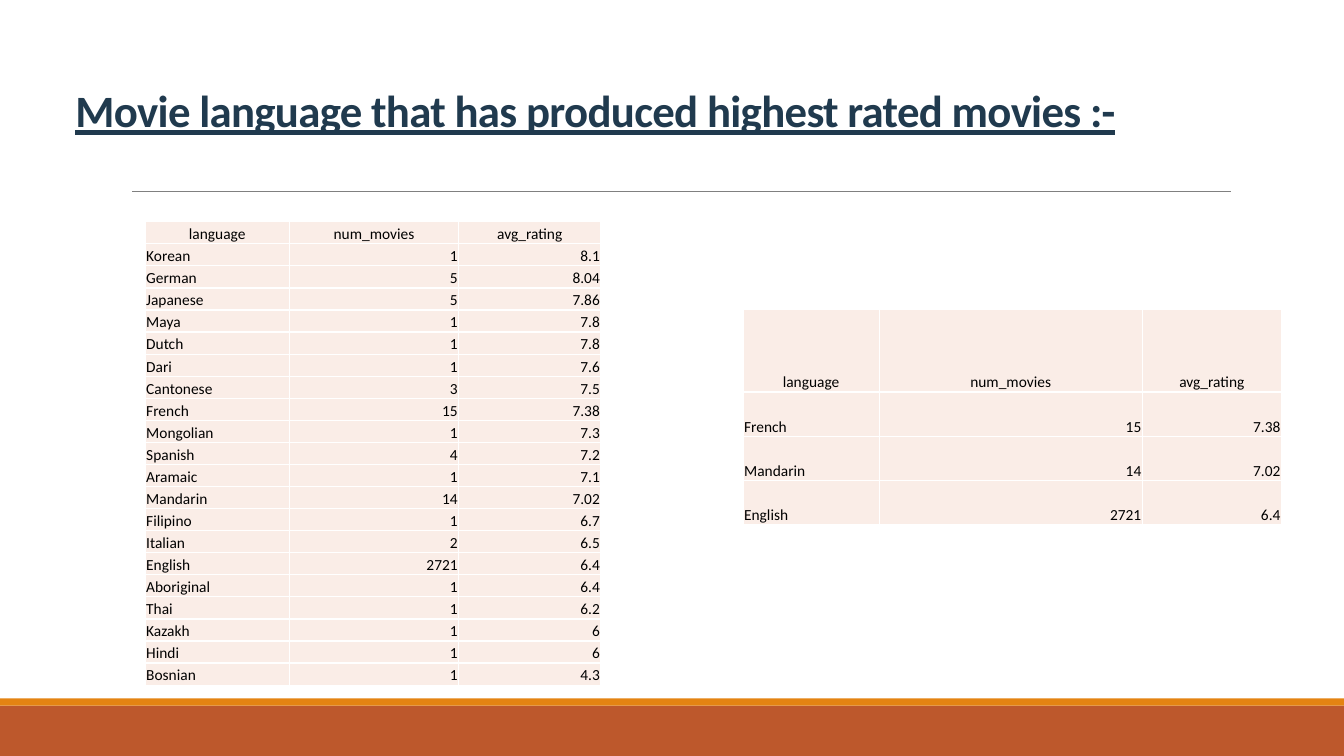
from dataclasses import dataclass

from lxml.etree import SubElement
from pptx import Presentation
from pptx.dml.color import RGBColor
from pptx.enum.shapes import MSO_CONNECTOR, MSO_SHAPE
from pptx.enum.text import MSO_ANCHOR as Anchor, PP_ALIGN as Align
from pptx.oxml.ns import qn
from pptx.slide import Slide
from pptx.table import _Cell as Cell
from pptx.util import Inches, Pt

WHITE = RGBColor(0xFF, 0xFF, 0xFF)
BLACK = RGBColor(0x00, 0x00, 0x00)
NAVY = RGBColor(0x20, 0x3A, 0x4E)
GRAY = RGBColor(0x80, 0x80, 0x80)
RUST = RGBColor(0xBD, 0x58, 0x2C)
ORANGE = RGBColor(0xE4, 0x83, 0x12)
BLUSH = RGBColor(0xFA, 0xED, 0xE7)

FONT = "Calibri"
TITLE_FORMAT = {"name": FONT, "size": Pt(32), "bold": True, "underline": True}
CELL_FORMAT = {"name": FONT, "size": Pt(11)}
CELL_LAYOUT = {
    "vertical_anchor": Anchor.BOTTOM,
    "margin_left": Inches(0.01),
    "margin_right": Inches(0.01),
    "margin_top": Inches(0.01),
    "margin_bottom": 0,
}
TITLE_LAYOUT = {"word_wrap": True, "vertical_anchor": Anchor.BOTTOM}
COLUMN_ALIGNS = (Align.LEFT, Align.RIGHT, Align.RIGHT)

HEADER = ("language", "num_movies", "avg_rating")
RATINGS = [
    ("Korean", 1, 8.1),
    ("German", 5, 8.04),
    ("Japanese", 5, 7.86),
    ("Maya", 1, 7.8),
    ("Dutch", 1, 7.8),
    ("Dari", 1, 7.6),
    ("Cantonese", 3, 7.5),
    ("French", 15, 7.38),
    ("Mongolian", 1, 7.3),
    ("Spanish", 4, 7.2),
    ("Aramaic", 1, 7.1),
    ("Mandarin", 14, 7.02),
    ("Filipino", 1, 6.7),
    ("Italian", 2, 6.5),
    ("English", 2721, 6.4),
    ("Aboriginal", 1, 6.4),
    ("Thai", 1, 6.2),
    ("Kazakh", 1, 6),
    ("Hindi", 1, 6),
    ("Bosnian", 1, 4.3),
]
MIN_MOVIES = 10


@dataclass(frozen=True)
class Band:
    top: float
    height: float
    color: RGBColor


@dataclass(frozen=True)
class RatingTable:
    left: float
    top: float
    widths: tuple[float, ...]
    header_height: float
    row_height: float
    rows: list[tuple[str, int, float]]


FOOTER_BANDS = [Band(7, 0.5, RUST), Band(6.93, 0.07, ORANGE)]
RATING_TABLES = [
    RatingTable(1.44, 2.2, (1.43, 1.68, 1.41), 4.6 / 21, 4.6 / 21, RATINGS),
    RatingTable(7.37, 3.07, (1.35, 2.61, 1.38), 0.82, 0.44,
                [row for row in RATINGS if row[1] >= MIN_MOVIES]),
]


def apply(target: object, values: dict[str, object]) -> None:
    for name, value in values.items():
        setattr(target, name, value)


def draw_band(slide: Slide, band: Band) -> None:
    stripe = slide.shapes.add_shape(
        MSO_SHAPE.RECTANGLE, 0, Inches(band.top), Inches(13.33), Inches(band.height))
    stripe.shadow.inherit = False
    stripe.fill.solid()
    stripe.fill.fore_color.rgb = band.color
    stripe.line.fill.background()


def draw_divider(slide: Slide) -> None:
    divider = slide.shapes.add_connector(
        MSO_CONNECTOR.STRAIGHT, Inches(1.31), Inches(1.9), Inches(12.21), Inches(1.9))
    divider.line.color.rgb = GRAY
    divider.line.width = Pt(0.5)
    SubElement(divider._element.spPr, qn("a:effectLst"))


def draw_title(slide: Slide, wording: str) -> None:
    title = slide.shapes.add_textbox(
        Inches(0.65), Inches(0.31), Inches(11.98), Inches(1.1)).text_frame
    apply(title, TITLE_LAYOUT)
    heading = title.paragraphs[0]
    heading.line_spacing = 0.85
    run = heading.add_run()
    run.text = wording
    apply(run.font, TITLE_FORMAT)
    run.font.color.rgb = NAVY
    run.font._element.set("spc", "-50")


def add_borders(cell: Cell) -> None:
    properties = cell._tc.get_or_add_tcPr()
    for side in ("a:lnL", "a:lnR", "a:lnT", "a:lnB"):
        border = SubElement(properties, qn(side), w=str(Pt(1)))
        fill = SubElement(border, qn("a:solidFill"))
        SubElement(fill, qn("a:srgbClr"), val=str(WHITE))


def fill_cell(cell: Cell, wording: str, align: Align) -> None:
    apply(cell, CELL_LAYOUT)
    add_borders(cell)
    cell.fill.solid()
    cell.fill.fore_color.rgb = BLUSH
    entry = cell.text_frame.paragraphs[0]
    entry.alignment = align
    run = entry.add_run()
    run.text = wording
    apply(run.font, CELL_FORMAT)
    run.font.color.rgb = BLACK


def draw_table(slide: Slide, ratings: RatingTable) -> None:
    heights = [ratings.header_height] + [ratings.row_height] * len(ratings.rows)
    grid = slide.shapes.add_table(
        len(heights), len(HEADER), Inches(ratings.left), Inches(ratings.top),
        Inches(sum(ratings.widths)), Inches(sum(heights))).table
    apply(grid, {"first_row": False, "horz_banding": False})
    for column, width in zip(grid.columns, ratings.widths):
        column.width = Inches(width)
    for line, height in zip(grid.rows, heights):
        line.height = Inches(height)
    for row_index, values in enumerate([HEADER, *ratings.rows]):
        for column_index, value in enumerate(values):
            align = COLUMN_ALIGNS[column_index] if row_index else Align.CENTER
            fill_cell(grid.cell(row_index, column_index), str(value), align)


def main() -> None:
    deck = Presentation()
    apply(deck, {"slide_width": Inches(13.33), "slide_height": Inches(7.5)})
    slide = deck.slides.add_slide(deck.slide_layouts[6])
    for band in FOOTER_BANDS:
        draw_band(slide, band)
    draw_divider(slide)
    draw_title(slide, "Movie language that has produced highest rated movies :-")
    for ratings in RATING_TABLES:
        draw_table(slide, ratings)
    deck.save("out.pptx")


if __name__ == "__main__":
    main()
